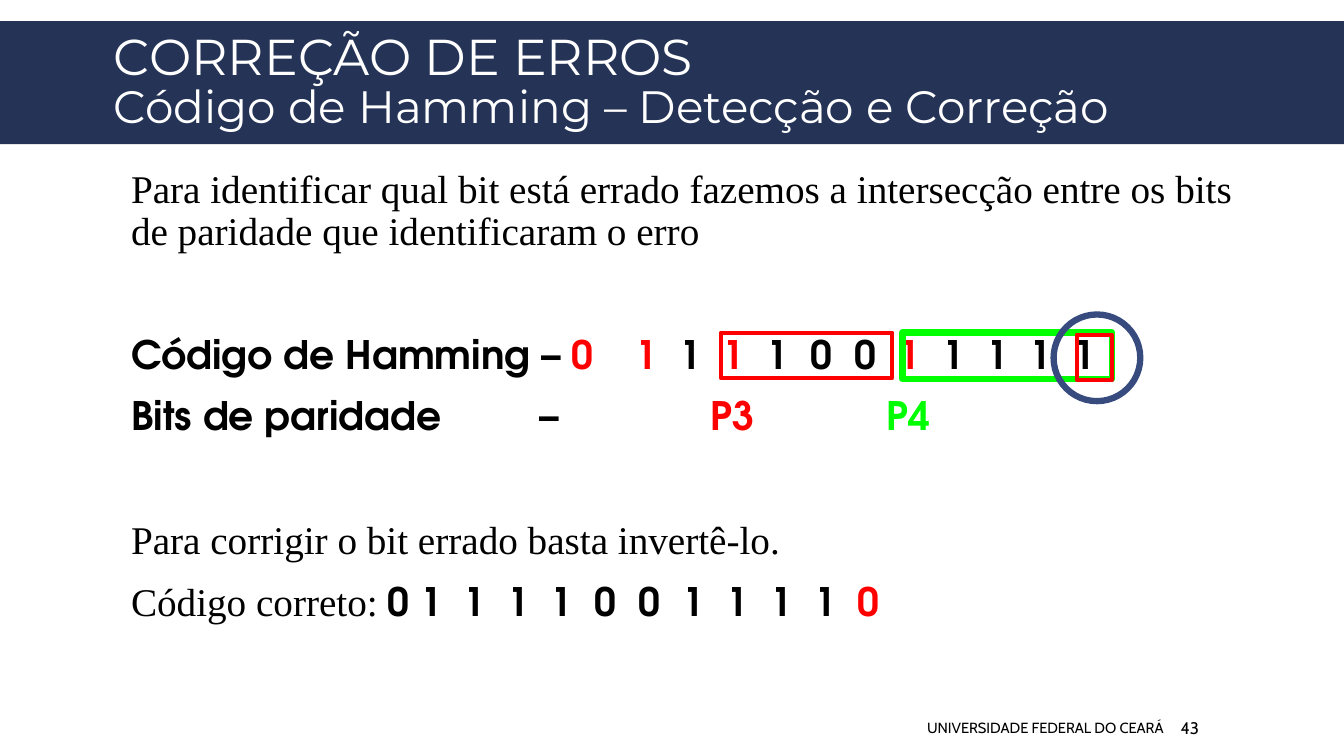
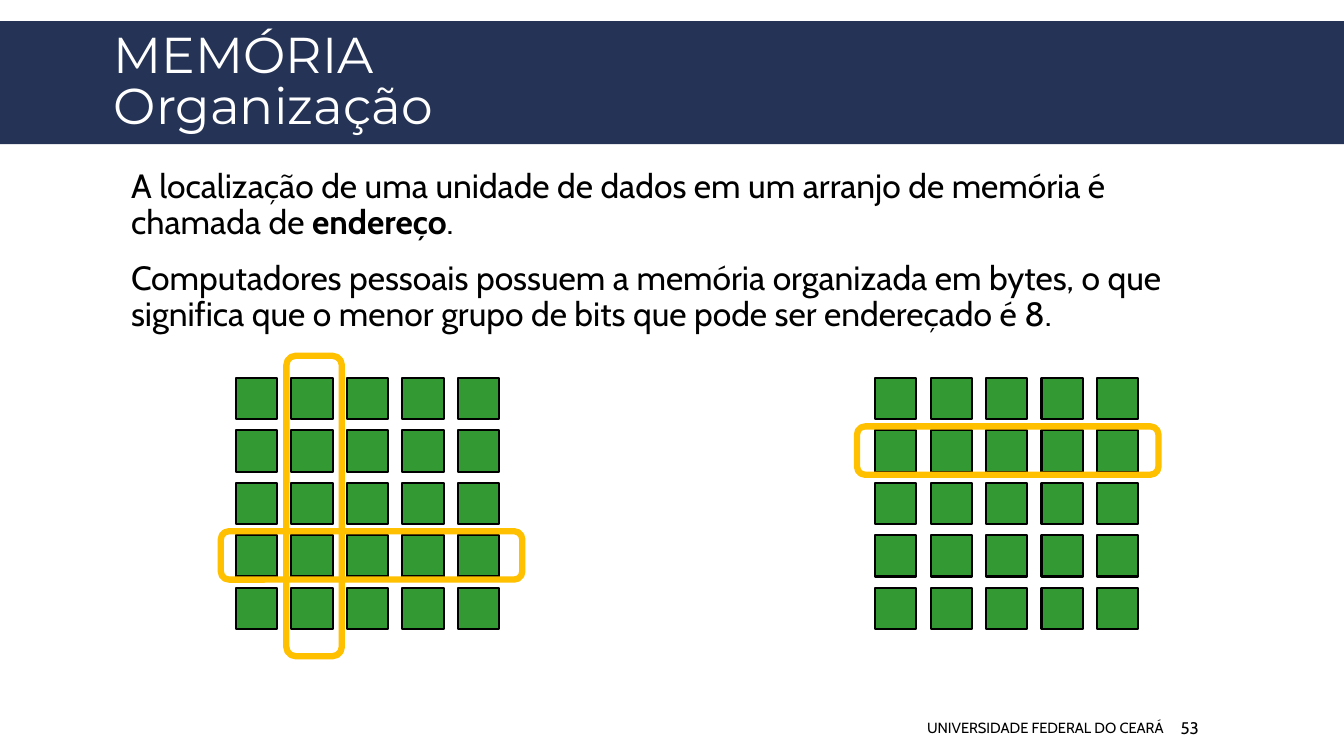
from pptx import Presentation
from pptx.dml.color import RGBColor
from pptx.enum.shapes import MSO_SHAPE
from pptx.enum.text import MSO_ANCHOR, PP_ALIGN
from pptx.oxml.ns import qn
from pptx.util import Inches, Pt
from lxml.etree import SubElement

NAVY = RGBColor(0x25, 0x33, 0x56)
BLUE = RGBColor(0x37, 0x4B, 0x7F)
WHITE = RGBColor(0xFF, 0xFF, 0xFF)
BLACK = RGBColor(0x00, 0x00, 0x00)
RED = RGBColor(0xFF, 0x00, 0x00)
LIME = RGBColor(0x00, 0xFF, 0x00)
GREEN = RGBColor(0x33, 0x99, 0x33)
AMBER = RGBColor(0xFF, 0xC0, 0x00)

TITLE_FONT = "Montserrat"
TEXT_FONT = "Cabin"
SERIF_FONT = "Times New Roman"
CODE_FONT = "TeX Gyre Adventor"

SLIDE_WIDTH, SLIDE_HEIGHT = 13.33, 7.5
FOOTER = "UNIVERSIDADE FEDERAL DO CEARÁ"
BLANK_LINE = 44
DIGIT_PITCH = 4.35 / 10


def add_box(page, left, top, width, height, inset=0.1, anchor=MSO_ANCHOR.TOP):
    """Add a wrapping text box and return its text frame."""
    box = page.shapes.add_textbox(Inches(left), Inches(top), Inches(width), Inches(height))
    frame = box.text_frame
    frame.word_wrap = True
    frame.margin_left = Inches(inset)
    frame.vertical_anchor = anchor
    return frame


def set_font(font, name, size, color, bold=False):
    """Set the main properties of a font."""
    font.name = name
    font.size = Pt(size)
    font.color.rgb = color
    font.bold = bold


def add_shape(page, kind, left, top, width, height, line, weight, fill=None):
    """Add an outlined preset shape, hollow unless a fill is given."""
    shape = page.shapes.add_shape(kind, Inches(left), Inches(top), Inches(width), Inches(height))
    shape.shadow.inherit = False
    if fill is None:
        shape.fill.background()
    else:
        shape.fill.solid()
        shape.fill.fore_color.rgb = fill
    if line is None:
        shape.line.fill.background()
    else:
        shape.line.color.rgb = line
        shape.line.width = Pt(weight)
    return shape


def add_title(page, lines):
    """Add the title band with (text, size) lines."""
    add_shape(page, MSO_SHAPE.RECTANGLE, 0, 0.21, SLIDE_WIDTH, 1.22, None, 0, NAVY)
    para = add_box(page, 1.03, 0.25, 11.33, 1.16, anchor=MSO_ANCHOR.MIDDLE).paragraphs[0]
    para.line_spacing = 0.85
    para.font.name = TITLE_FONT
    para.font.color.rgb = WHITE
    for index, (text, size) in enumerate(lines):
        if index:
            para.add_line_break()
        span = para.add_run()
        span.text = text
        span.font.size = Pt(size)


def add_footer(page, number):
    """Add the institution and the page number."""
    para = add_box(page, 6.12, 7.02, 5.52, 0.4, anchor=MSO_ANCHOR.MIDDLE).paragraphs[0]
    para.text = FOOTER
    para.alignment = PP_ALIGN.RIGHT
    set_font(para.font, TEXT_FONT, 10.5, BLACK)
    para = add_box(page, 11.66, 7.02, 1.03, 0.4, 0.05, MSO_ANCHOR.MIDDLE).paragraphs[0]
    para.text = str(number)
    set_font(para.font, TEXT_FONT, 12, BLACK)


def add_page(deck, title_lines, number):
    """Add a blank slide with the shared title band and footer."""
    page = deck.slides.add_slide(deck.slide_layouts[6])
    add_title(page, title_lines)
    add_footer(page, number)
    return page


def add_tabs(para, positions):
    """Give a paragraph left tab stops."""
    tab_list = SubElement(para._p.get_or_add_pPr(), qn("a:tabLst"))
    for position in positions:
        SubElement(tab_list, qn("a:tab"), pos=str(int(Inches(position))), algn="l")


def add_body(page, height, size, paragraphs):
    """Add body text from (font, bold, space before, tabs, spans) paragraphs."""
    frame = add_box(page, 1, 1.63, 11.33, height, inset=0.3)
    for index, (name, bold, before, tabs, spans) in enumerate(paragraphs):
        para = frame.add_paragraph() if index else frame.paragraphs[0]
        para.line_spacing = 0.9
        para.space_before = Pt(before)
        para.space_after = Pt(2)
        if tabs:
            add_tabs(para, tabs)
        set_font(para.font, name, size, BLACK, bold)
        for text, changes in spans:
            span = para.add_run()
            span.text = text
            if "name" in changes:
                span.font.name = changes["name"]
            if "bold" in changes:
                span.font.bold = changes["bold"]
            if "color" in changes:
                span.font.color.rgb = changes["color"]


def add_cell_grid(page, left, top, count=5):
    """Add a square grid of memory cells."""
    for row in range(count):
        for column in range(count):
            add_shape(page, MSO_SHAPE.RECTANGLE, left + column * 0.55, top + row * 0.52,
                      0.41, 0.41, BLACK, 1.5, GREEN)


def build_hamming(deck):
    """Build the slide on correcting an error with the Hamming code."""
    page = add_page(deck, [("CORREÇÃO DE ERROS", 36),
                           ("Código de Hamming – Detecção e Correção", 32.4)], 43)
    red = {"color": RED}
    code = {"name": CODE_FONT, "bold": True}
    received_tabs = [5 + DIGIT_PITCH * step for step in range(11)]
    corrected_tabs = [2.86 + DIGIT_PITCH * step for step in range(1, 11)]
    add_body(page, 5.17, 28, [
        (SERIF_FONT, False, 12, [], [
            ("Para identificar qual bit está errado fazemos a intersecção entre os bits "
             "de paridade que identificaram o erro", {})]),
        (CODE_FONT, True, 12 + BLANK_LINE, received_tabs, [
            ("Código de Hamming – ", {}), ("0\t1", red), ("\t1\t", {}), ("1", red),
            ("\t1\t0\t0\t", {}), ("1", red), ("\t1\t1\t1\t1", {})]),
        (CODE_FONT, True, 12, [4.05, 5.75, 7.49], [
            ("Bits de paridade\t–\t", {}), ("P3\t", red), ("P4", {"color": LIME})]),
        (SERIF_FONT, False, 12 + BLANK_LINE, [], [
            ("Para corrigir o bit errado basta invertê-lo.", {})]),
        (SERIF_FONT, False, 12, corrected_tabs, [
            ("Código correto: ", {}),
            ("0 1\t1\t1\t1\t0\t0\t1\t1\t1\t1\t", code), ("0", {**code, **red})]),
    ])
    add_shape(page, MSO_SHAPE.RECTANGLE, 7.15, 3.3, 1.7, 0.45, RED, 3)
    add_shape(page, MSO_SHAPE.RECTANGLE, 8.95, 3.3, 2.08, 0.46, LIME, 4.5)
    add_shape(page, MSO_SHAPE.RECTANGLE, 10.68, 3.32, 0.35, 0.45, RED, 3)
    add_shape(page, MSO_SHAPE.OVAL, 10.45, 3.12, 0.86, 0.86, BLUE, 4.5)


def build_memory(deck):
    """Build the slide on how memory is organised."""
    page = add_page(deck, [("MEMÓRIA", 36), ("Organização", 36)], 53)
    add_body(page, 1.9, 24, [
        (TEXT_FONT, False, 12, [], [
            ("A localização de uma unidade de dados em um arranjo de memória é chamada de ", {}),
            ("endereço", {"bold": True}), (".", {})]),
        (TEXT_FONT, False, 12, [], [
            ("Computadores pessoais possuem a memória organizada em bytes, o que significa "
             "que o menor grupo de bits que pode ser endereçado é 8.", {})]),
    ])
    for left in (2.34, 8.68):
        add_cell_grid(page, left, 3.75)
    for frame in ((2.84, 3.53, 0.55, 2.98), (2.19, 5.27, 2.99, 0.48), (8.5, 4.23, 2.99, 0.48)):
        add_shape(page, MSO_SHAPE.ROUNDED_RECTANGLE, *frame, AMBER, 4.5)


def main():
    """Build and save the deck."""
    deck = Presentation()
    deck.slide_width = Inches(SLIDE_WIDTH)
    deck.slide_height = Inches(SLIDE_HEIGHT)
    build_hamming(deck)
    build_memory(deck)
    deck.save("out.pptx")


if __name__ == "__main__":
    main()
